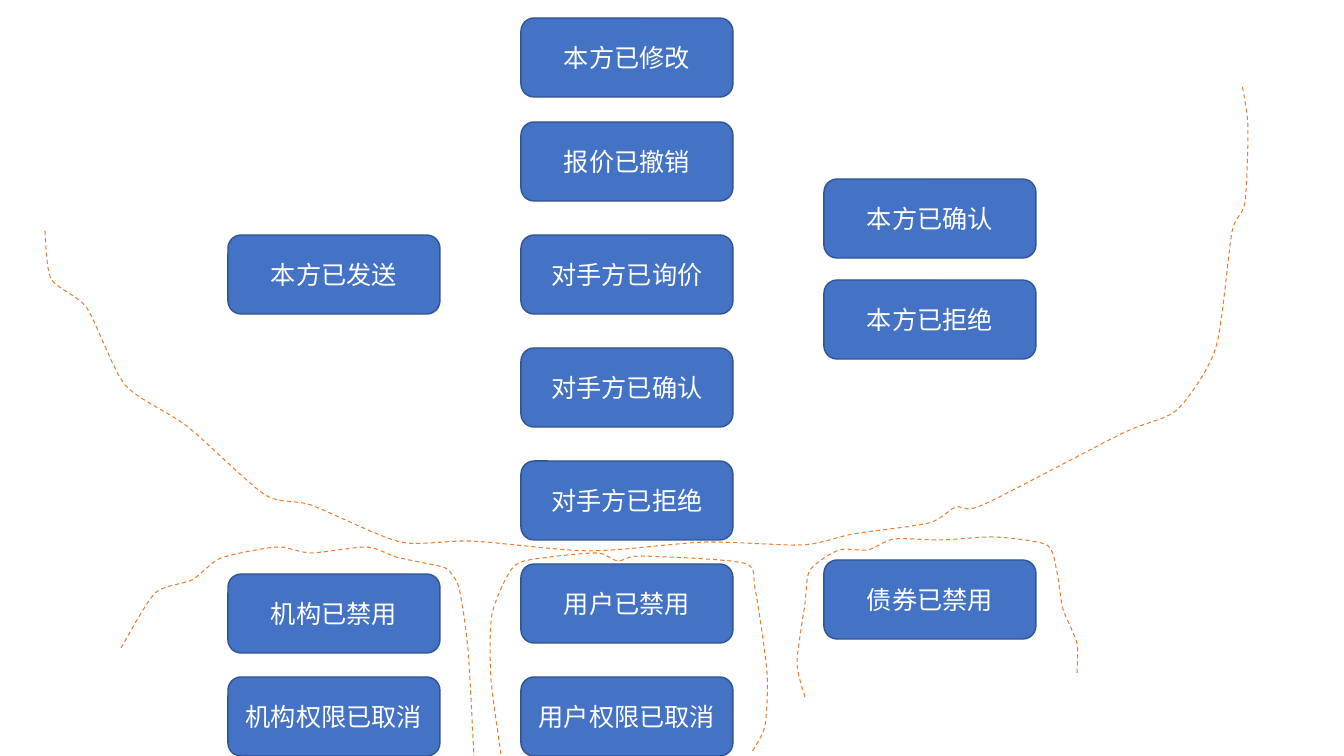
from itertools import chain
from lxml.etree import SubElement
from pptx import Presentation
from pptx.dml.color import RGBColor
from pptx.enum.dml import MSO_LINE
from pptx.enum.shapes import MSO_SHAPE
from pptx.enum.text import MSO_ANCHOR, PP_ALIGN
from pptx.oxml.ns import qn
from pptx.util import Pt

PX = 914400 / 100.8
SLIDE_WIDTH, SLIDE_HEIGHT = 1344, 756
STATUS_WIDTH, STATUS_HEIGHT = 212, 79
LEFT_COLUMN, MIDDLE_COLUMN, RIGHT_COLUMN = 228, 521, 824
FONT = "Noto Sans CJK SC"
BEND_TENSION, BEND_STEPS = 0.35, 6

STATUS_GROUPS = [
    {"origin": (LEFT_COLUMN, 235), "pitch": 0, "statuses": ["本方已发送"]},
    {"origin": (MIDDLE_COLUMN, 18), "pitch": 104,
     "statuses": ["本方已修改", "报价已撤销"]},
    {"origin": (MIDDLE_COLUMN, 235), "pitch": 113,
     "statuses": ["对手方已询价", "对手方已确认", "对手方已拒绝"]},
    {"origin": (RIGHT_COLUMN, 179), "pitch": 101,
     "statuses": ["本方已确认", "本方已拒绝"]},
    {"origin": (LEFT_COLUMN, 574), "pitch": 103,
     "statuses": ["机构已禁用", "机构权限已取消"]},
    {"origin": (MIDDLE_COLUMN, 564), "pitch": 113,
     "statuses": ["用户已禁用", "用户权限已取消"]},
    {"origin": (RIGHT_COLUMN, 560), "pitch": 0, "statuses": ["债券已禁用"]},
]

BOUNDARIES = {
    "quote": {
        "origin": (45, 84),
        "left side": [(0, 147), (6, 195), (42, 224), (80, 301), (142, 342),
                      (220, 411), (266, 421)],
        "middle": [(355, 458), (427, 457), (545, 467), (660, 458), (758, 461)],
        "right side": [(808, 450), (884, 439), (911, 423), (938, 421), (1078, 349),
                       (1132, 326), (1171, 264), (1187, 148), (1200, 119),
                       (1203, 42), (1197, 0)],
    },
    "institution": {
        "origin": (121, 547),
        "left side": [(0, 101), (34, 46), (71, 33), (100, 11)],
        "middle": [(156, 0), (190, 6), (246, 0), (275, 10), (308, 17)],
        "right side": [(326, 22), (338, 41), (347, 102), (353, 210)],
    },
    "user": {
        "origin": (491, 553),
        "left side": [(10, 201), (0, 126), (1, 61), (23, 13)],
        "middle": [(59, 4), (107, 0), (127, 8), (150, 3), (253, 10)],
        "right side": [(264, 35), (276, 119), (274, 173), (261, 199)],
    },
    "bond": {
        "origin": (797, 537),
        "left side": [(8, 160), (0, 126), (8, 67), (13, 33), (42, 13)],
        "middle": [(71, 13), (97, 2), (145, 3), (198, 0), (250, 8)],
        "right side": [(260, 35), (266, 72), (280, 106), (280, 138)],
    },
}


def px(length):
    """Convert pixels to EMU."""
    return round(length * PX)


def color(hex_value):
    """Turn a hex string into a colour."""
    return RGBColor.from_string(hex_value)


def apply(target, formats):
    """Set every attribute in the dict of format values."""
    for attribute, value in formats.items():
        setattr(target, attribute, value)


def draw_status(slide, box, wording):
    """Draw one rounded status label in its box."""
    status = slide.shapes.add_shape(
        MSO_SHAPE.ROUNDED_RECTANGLE, *[px(length) for length in box])
    status.shadow.inherit = False
    status.fill.solid()
    status.fill.fore_color.rgb = color("4472C4")
    status.line.color.rgb = color("325491")
    status.line.width = Pt(1)
    apply(status.text_frame,
          {"word_wrap": True, "vertical_anchor": MSO_ANCHOR.MIDDLE})
    paragraph = status.text_frame.paragraphs[0]
    paragraph.alignment = PP_ALIGN.CENTER
    label = paragraph.add_run()
    label.text = wording
    apply(label.font, {"name": FONT, "size": Pt(18)})
    label.font.color.rgb = color("FFFFFF")
    SubElement(label.font._element, qn("a:ea"), typeface=FONT)


def draw_status_group(slide, origin, pitch, statuses):
    """Stack the statuses of one group downwards from its origin."""
    left, top = origin
    for row, wording in enumerate(statuses):
        box = (left, top + row * pitch, STATUS_WIDTH, STATUS_HEIGHT)
        draw_status(slide, box, wording)


def bend(before, start, end, after, t):
    """Return the coordinate at share t of a smooth bend from start to end."""
    leaving = BEND_TENSION * (end - before)
    arriving = BEND_TENSION * (after - start)
    return ((2 * t**3 - 3 * t**2 + 1) * start + (t**3 - 2 * t**2 + t) * leaving
            + (3 * t**2 - 2 * t**3) * end + (t**3 - t**2) * arriving)


def smooth(anchors):
    """Return closely spaced points of a smooth curve through the anchors."""
    padded = [anchors[0], *anchors, anchors[-1]]
    curve = [anchors[0]]
    for neighbours in zip(padded, padded[1:], padded[2:], padded[3:]):
        xs, ys = zip(*neighbours)
        for step in range(1, BEND_STEPS + 1):
            share = step / BEND_STEPS
            curve.append((bend(*xs, share), bend(*ys, share)))
    return curve


def draw_boundary(slide, boundary):
    """Draw one dashed boundary from its left side to its right side."""
    left, top = boundary["origin"]
    sections = ("left side", "middle", "right side")
    anchors = list(chain.from_iterable(boundary[name] for name in sections))
    start, *rest = [(px(left + x), px(top + y)) for x, y in smooth(anchors)]
    builder = slide.shapes.build_freeform(*start)
    builder.add_line_segments(rest, close=False)
    outline = builder.convert_to_shape()
    outline.shadow.inherit = False
    outline.fill.background()
    outline.line.color.rgb = color("ED7D31")
    apply(outline.line, {"width": Pt(0.75), "dash_style": MSO_LINE.DASH})


def build_status_map():
    """Build and save the status map slide."""
    deck = Presentation()
    apply(deck, {"slide_width": px(SLIDE_WIDTH), "slide_height": px(SLIDE_HEIGHT)})
    slide = deck.slides.add_slide(deck.slide_layouts[6])
    for group in STATUS_GROUPS:
        draw_status_group(slide, **group)
    for boundary in BOUNDARIES.values():
        draw_boundary(slide, boundary)
    deck.save("out.pptx")


build_status_map()
